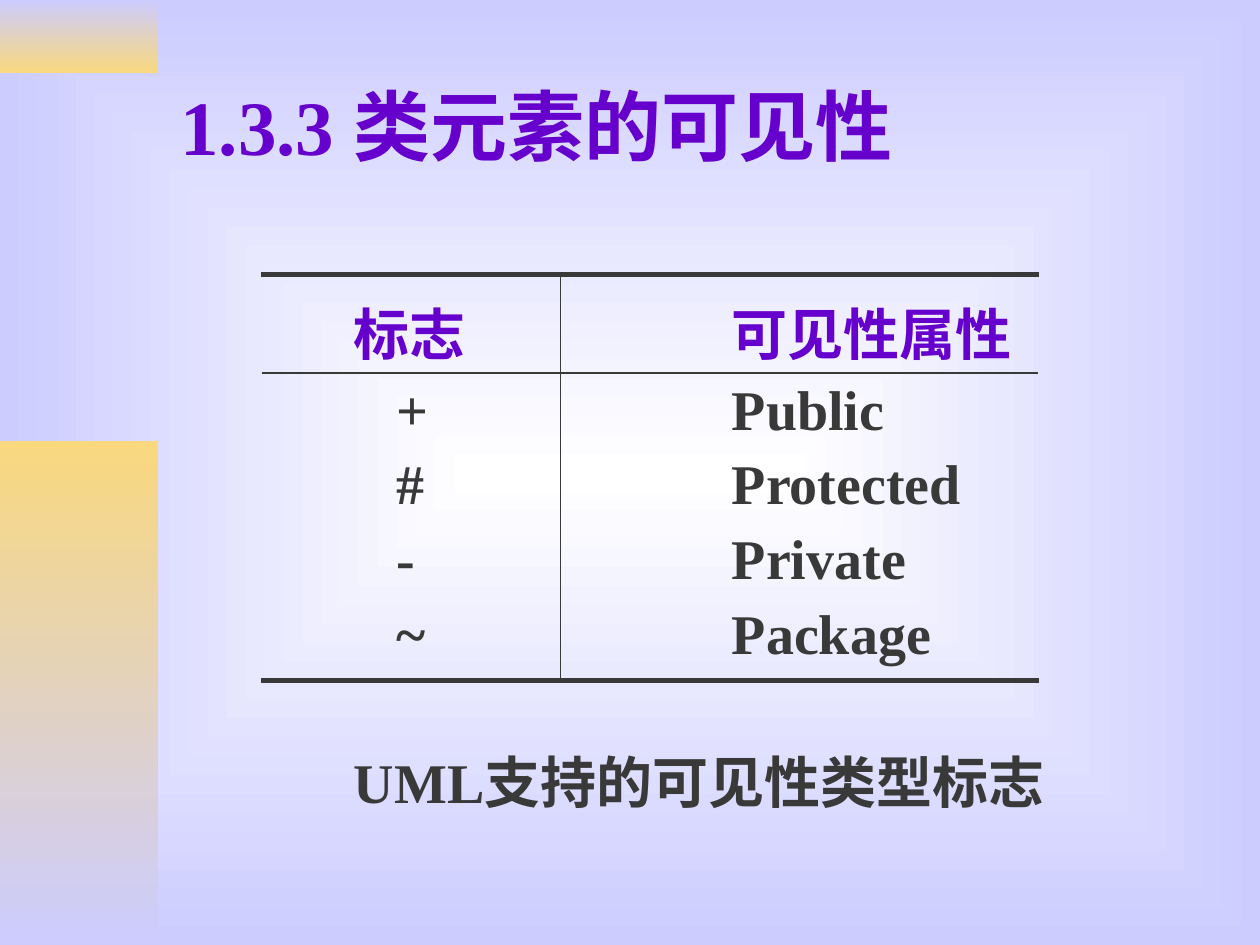
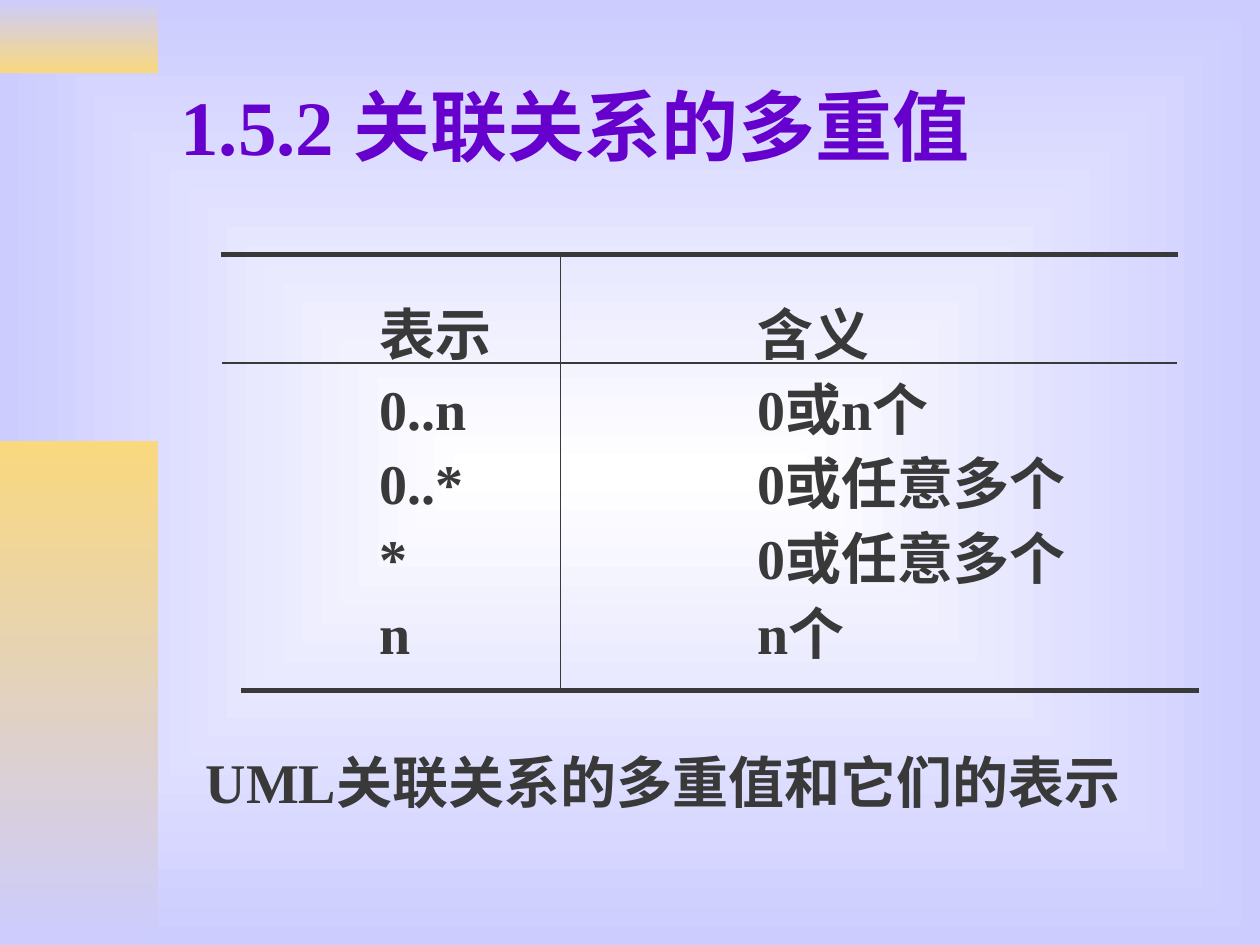
"""Build two slides on UML class element visibility and association multiplicity."""
from lxml.etree import SubElement
from pptx import Presentation
from pptx.dml.color import RGBColor
from pptx.enum.shapes import MSO_CONNECTOR, MSO_SHAPE
from pptx.enum.text import MSO_ANCHOR, MSO_AUTO_SIZE, PP_ALIGN
from pptx.oxml.ns import qn
from pptx.util import Cm, Pt

FONT = "Times New Roman"
PURPLE, INK, LAVENDER, GOLD, WHITE = "6600CC", "393939", "CCCCFF", "F9D87E", "FFFFFF"
ROW_PITCH = Pt(42.6)
FIRST_COLUMN, SECOND_COLUMN = 3.5, 11.12
BODY_TOP, BODY_RIGHT, BODY_HEIGHT = 5.77, 24.97, 11.12
DIVIDER_X = 11.3


def color(hex_text):
    """Return the colour for a hex string."""
    return RGBColor.from_string(hex_text)


def set_gradient(fill, hex_colors):
    """Fill with a two-colour gradient running downwards."""
    fill.gradient()
    fill.gradient_angle = 270
    for stop, hex_text in zip(fill.gradient_stops, hex_colors):
        stop.color.rgb = color(hex_text)


def style_background(master):
    """Give the master a gradient that glows from its centre."""
    set_gradient(master.background.fill, (WHITE, LAVENDER))
    linear = master.element.xpath("p:cSld/p:bg//a:lin")[0]
    gradient = linear.getparent()
    gradient.remove(linear)
    path = SubElement(gradient, qn("a:path"), {"path": "rect"})
    SubElement(path, qn("a:fillToRect"), {side: "50000" for side in "ltrb"})


def add_master_band(slide, master, number, top, height, hex_colors):
    """Draw a gradient band at the left edge and place it on the master."""
    band = slide.shapes.add_shape(MSO_SHAPE.RECTANGLE, 0, Cm(top), Cm(3.18), Cm(height))
    band.shadow.inherit = False
    band.line.fill.background()
    set_gradient(band.fill, hex_colors)
    band.element.nvSpPr.cNvPr.set("id", str(100 + number))
    master.shapes.element.insert(2, band.element)


def place(box, left, top, width, height):
    """Move and size a placeholder."""
    box.left, box.top, box.width, box.height = map(Cm, (left, top, width, height))
    box.text_frame.word_wrap = True
    box.text_frame.auto_size = MSO_AUTO_SIZE.NONE


def format_runs(para, size, hex_text):
    """Apply the bold deck font to every run of a paragraph."""
    for span in para.runs:
        font = span.font
        font.name, font.size, font.bold = FONT, Pt(size), True
        font.color.rgb = color(hex_text)


def set_columns(para, first, second=SECOND_COLUMN):
    """Remove the bullet, indent to the first column and tab to the second."""
    properties = para._p.get_or_add_pPr()
    properties.set("marL", str(Cm(first)))
    properties.set("indent", "0")
    properties.set("defTabSz", str(Cm(second - first)))
    SubElement(properties, qn("a:buNone"))
    tabs = SubElement(properties, qn("a:tabLst"))
    SubElement(tabs, qn("a:tab"), {"pos": str(Cm(second)), "algn": "l"})


def fill_title(slide, text):
    """Write the slide title."""
    box = slide.shapes.title
    place(box, 3.38, 0.84, 21.59, 3.35)
    frame = box.text_frame
    frame.text = text
    frame.vertical_anchor = MSO_ANCHOR.MIDDLE
    para = frame.paragraphs[0]
    para.alignment = PP_ALIGN.LEFT
    format_runs(para, 44, PURPLE)


def fill_body(slide, left, rows, caption, header_color, mark_indent, caption_indent):
    """Write two-column rows followed by a caption."""
    box = slide.placeholders[1]
    place(box, left, BODY_TOP, BODY_RIGHT - left, BODY_HEIGHT)
    frame = box.text_frame
    frame.text = "\n".join(["\t".join(row) for row in rows] + [caption])
    paras = frame.paragraphs
    indents = [FIRST_COLUMN] + [mark_indent] * (len(rows) - 1) + [caption_indent]
    for para, indent in zip(paras, indents):
        para.line_spacing = ROW_PITCH
        para.space_before = Pt(0)
        set_columns(para, indent)
        format_runs(para, 32, INK)
    format_runs(paras[0], 32, header_color)
    paras[-1].space_before = ROW_PITCH


def add_rule(slide, start, end, weight):
    """Draw a straight square-ended line between two points."""
    rule = slide.shapes.add_connector(MSO_CONNECTOR.STRAIGHT, *map(Cm, start + end))
    rule.line.color.rgb = color(INK)
    rule.line.width = Pt(weight)
    rule.element.spPr.find(qn("a:ln")).set("cap", "sq")
    SubElement(rule.element.spPr, qn("a:effectLst"))


def add_rules(slide, left, right, top, header_y, bottom, bottom_shift=0):
    """Draw the rules around and between the rows."""
    add_rule(slide, (left, top), (right, top), 3)
    add_rule(slide, (left + bottom_shift, bottom), (right + bottom_shift, bottom), 3)
    add_rule(slide, (left, header_y), (right, header_y), 1)
    add_rule(slide, (DIVIDER_X, top), (DIVIDER_X, bottom), 1)


def main():
    """Build and save the deck."""
    deck = Presentation()
    deck.slide_width, deck.slide_height = Cm(25.4), Cm(19.05)
    master, layout = deck.slide_master, deck.slide_layouts[1]
    style_background(master)

    visibility = deck.slides.add_slide(layout)
    add_master_band(visibility, master, 1, 0, 1.48, (LAVENDER, GOLD))
    add_master_band(visibility, master, 2, 8.89, 10.16, (GOLD, LAVENDER))
    fill_title(visibility, "1.3.3 类元素的可见性")
    visibility_rows = [("标志", "可见性属性"), ("+", "Public"), ("#", "Protected"),
                       ("-", "Private"), ("~", "Package")]
    fill_body(visibility, 3.38, visibility_rows, "UML支持的可见性类型标志",
              PURPLE, 4.35, FIRST_COLUMN)
    add_rules(visibility, 5.31, 20.9, 5.54, 7.52, 13.72)

    multiplicity = deck.slides.add_slide(layout)
    fill_title(multiplicity, "1.5.2 关联关系的多重值")
    multiplicity_rows = [("表示", "含义"), ("0..n", "0或n个"), ("0..*", "0或任意多个"),
                         ("*", "0或任意多个"), ("n", "n个")]
    fill_body(multiplicity, 3.89, multiplicity_rows, "UML关联关系的多重值和它们的表示",
              INK, FIRST_COLUMN, 0)
    add_rules(multiplicity, 4.5, 23.7, 5.13, 7.32, 13.92, 0.41)

    deck.save("out.pptx")


if __name__ == "__main__":
    main()
